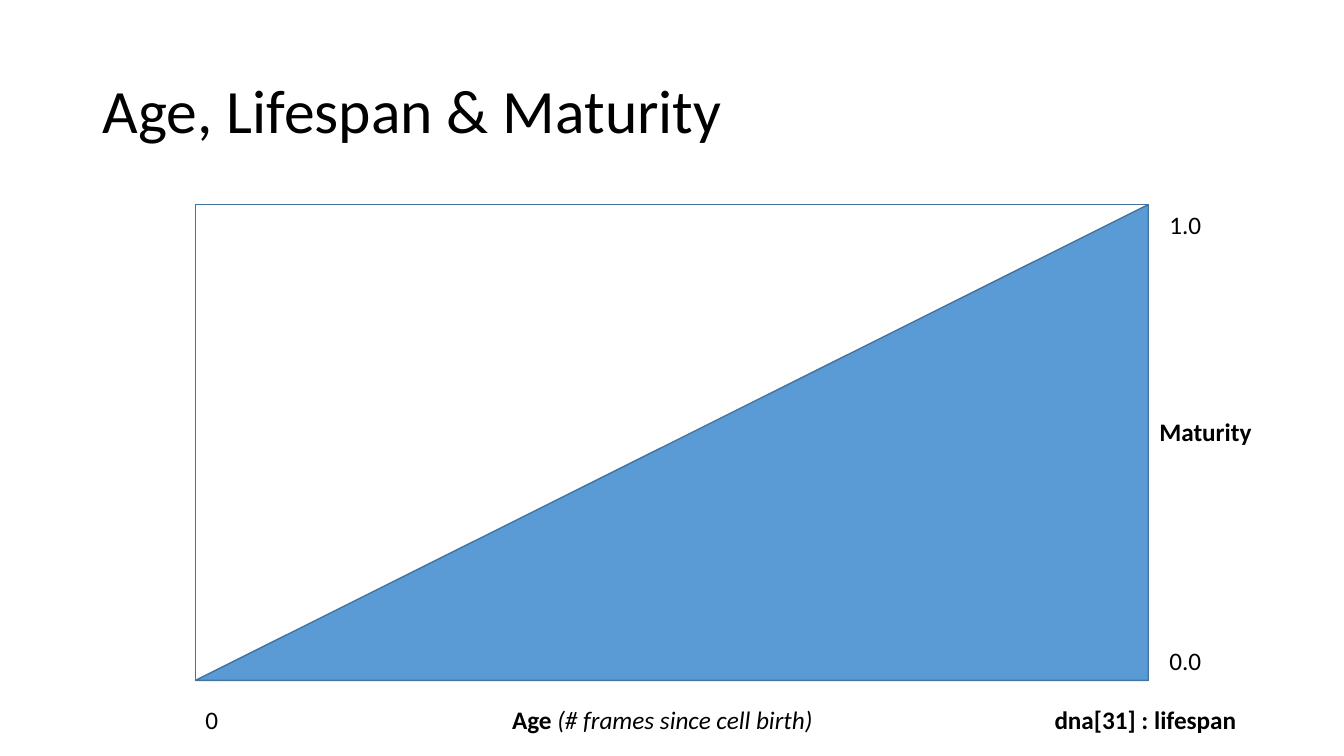
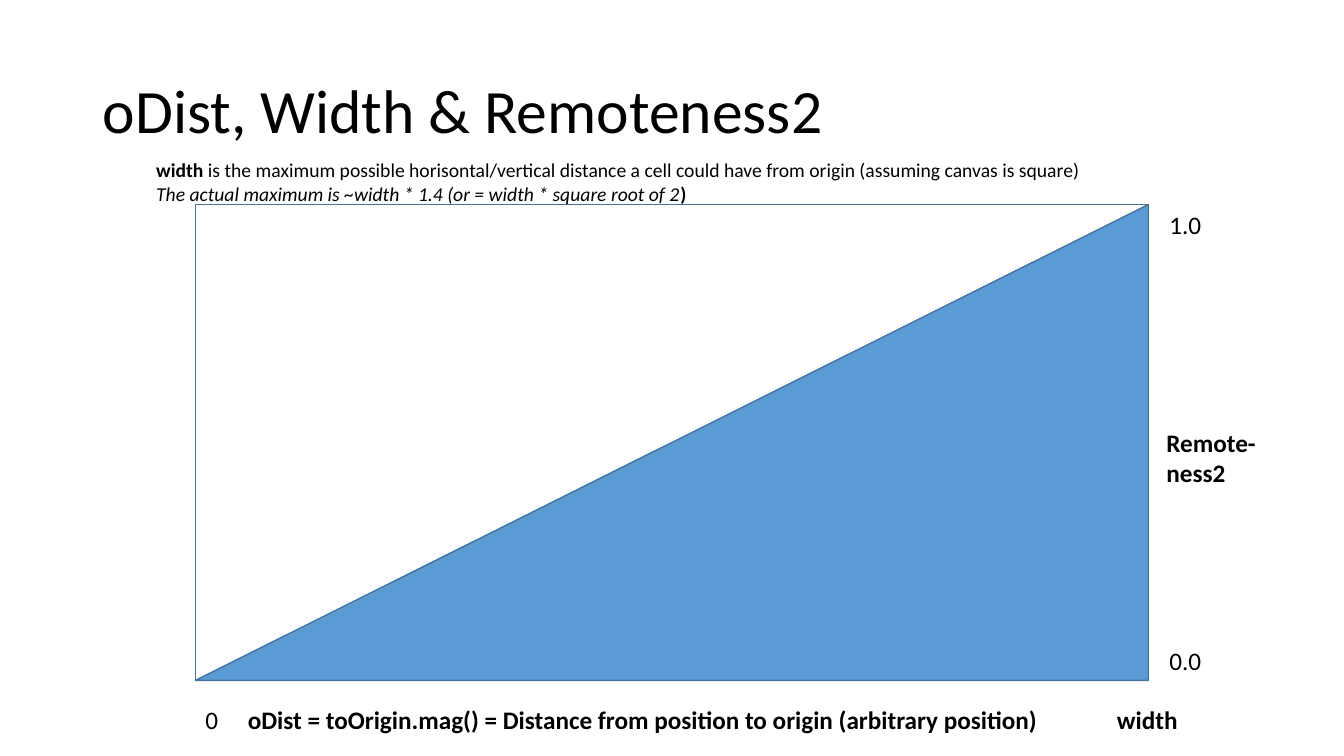
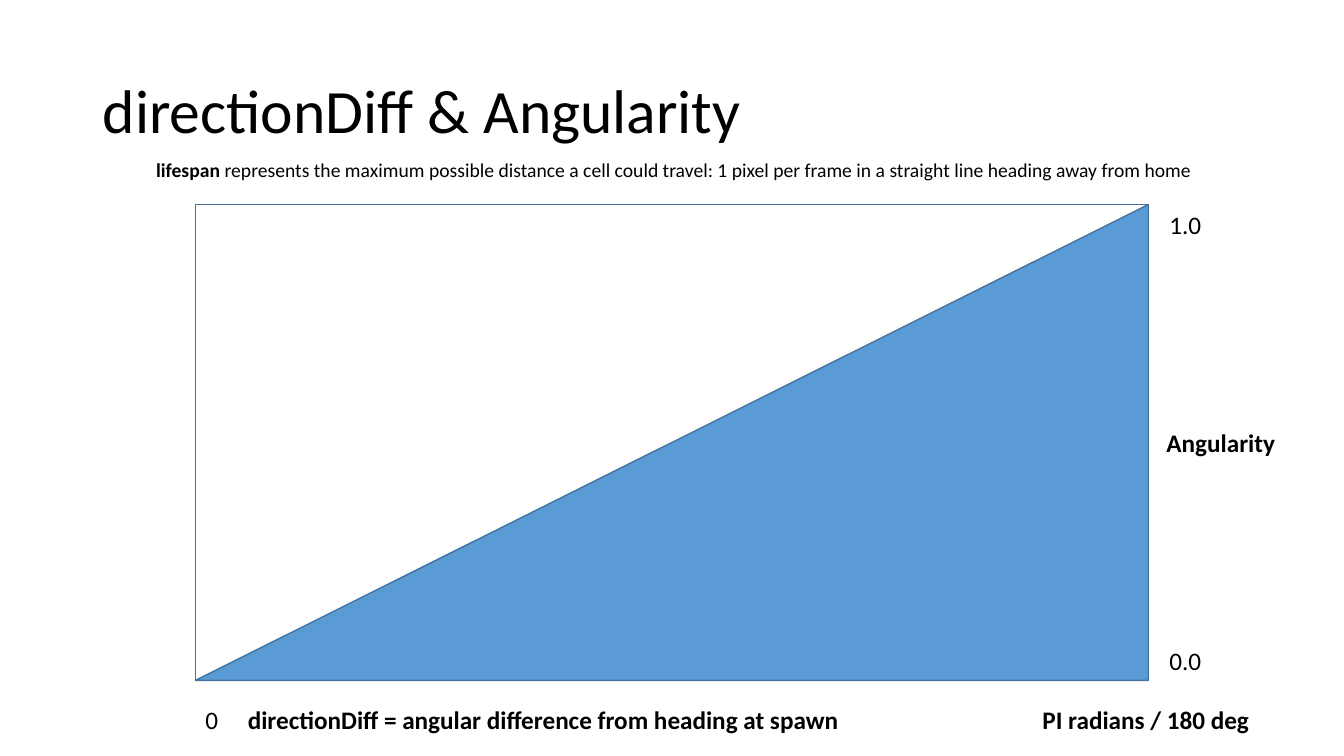
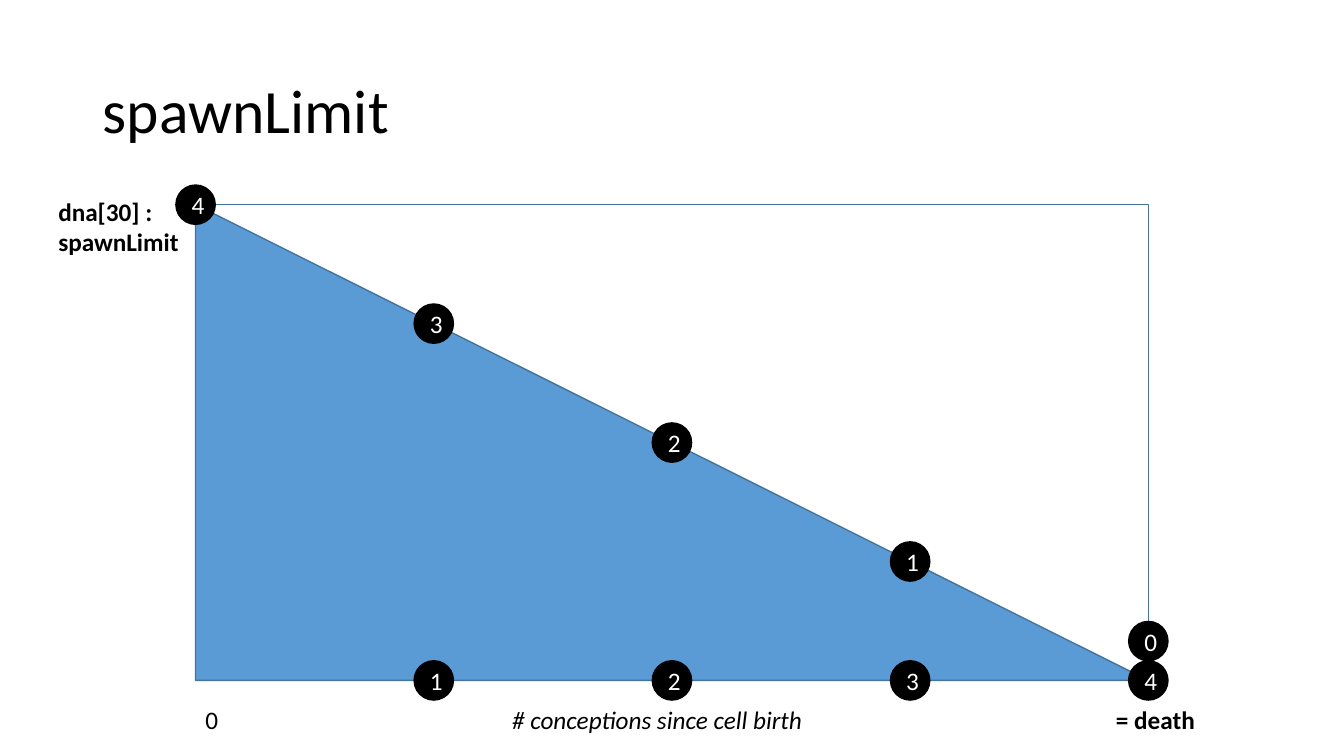
"""Build four slides of cell graphs, each a ramp inside a frame."""
from pptx import Presentation
from pptx.dml.color import RGBColor
from pptx.enum.shapes import MSO_SHAPE
from pptx.enum.text import MSO_ANCHOR, MSO_AUTO_SIZE, PP_ALIGN
from pptx.util import Inches, Pt

BLUE = RGBColor(0x5B, 0x9B, 0xD5)
EDGE = RGBColor(0x43, 0x73, 0x9E)
BLACK = RGBColor(0, 0, 0)
WHITE = RGBColor(255, 255, 255)

PLAIN = {"name": "Calibri", "color": BLACK, "bold": False, "italic": False}
LOOKS = {
    "plain": PLAIN,
    "bold": PLAIN | {"bold": True},
    "slant": PLAIN | {"italic": True},
    "dot": PLAIN | {"color": WHITE},
}

deck = Presentation()
deck.slide_width, deck.slide_height = Inches(13.33), Inches(7.5)
WIDE, HIGH = deck.slide_width, deck.slide_height


def share(left, top, width, height):
    """Turn percentages of the slide into lengths."""
    return [int(part * full / 100) for part, full in
            zip((left, top, width, height), (WIDE, HIGH, WIDE, HIGH))]


def write(frame, lines, size):
    """Fill a text frame with lines made of (text, look) runs."""
    for row, line in enumerate(lines):
        para = frame.add_paragraph() if row else frame.paragraphs[0]
        for text, look in line:
            run = para.add_run()
            run.text = text
            run.font.size = Pt(size)
            for key, value in LOOKS[look].items():
                if key == "color":
                    run.font.color.rgb = value
                else:
                    setattr(run.font, key, value)


LEFT, TOP, SPAN, RISE = 14.55, 27.07, 70.89, 62.93
BASE, SIDE = 92.53, 86.27
ROW, PAIR, CELL = 5.33, 9.47, 8.33

ZERO = ((LEFT, BASE, CELL, ROW), 18, [[("0", "plain")]])
SCALE = [
    ZERO,
    ((SIDE, 84.67, CELL, ROW), 18, [[("0.0", "plain")]]),
    ((SIDE, TOP, CELL, ROW), 18, [[("1.0", "plain")]]),
]

PAGES = [
    ("Age, Lifespan & Maturity", True, SCALE + [
        ((77.72, BASE, 15.68, ROW), 18, [[("dna[31] : lifespan", "bold")]]),
        ((37.36, BASE, 25.28, ROW), 18,
         [[("Age ", "bold"), ("(# frames since cell birth)", "slant")]]),
        ((85.52, 54.4, 8.7, ROW), 18, [[("Maturity", "bold")]]),
    ]),
    ("oDist, Width & Remoteness2", True, SCALE + [
        ((82.37, BASE, 6.38, ROW), 18, [[("width", "bold")]]),
        ((17.7, BASE, 61.07, ROW), 18,
         [[("oDist = toOrigin.mag() = Distance from position to origin "
            "(arbitrary position)", "bold")]]),
        ((86.05, 55.87, 8.7, PAIR), 18, [[("Remote-ness2", "bold")]]),
        ((10.88, 20.27, 79.07, 7.6), 14,
         [[("width ", "bold"),
           ("is the maximum possible horisontal/vertical distance a cell "
            "could have from origin (assuming canvas is square)", "plain")],
          [("The actual maximum is ~width * 1.4 "
            "(or = width * square root of 2", "slant"), (")", "bold")]]),
    ]),
    ("directionDiff & Angularity", True, SCALE + [
        ((76.82, BASE, 17.25, ROW), 18, [[("PI radians / 180 deg", "bold")]]),
        ((17.7, BASE, 61.07, ROW), 18,
         [[("directionDiff = angular difference from heading at spawn",
            "bold")]]),
        ((86.05, 55.87, 10.28, ROW), 18, [[("Angularity", "bold")]]),
        ((10.88, 20.27, 79.07, 4.53), 14,
         [[("lifespan ", "bold"),
           ("represents the maximum possible distance a cell could travel: "
            "1 pixel per frame in a straight line heading away from home",
            "plain")]]),
    ]),
    ("spawnLimit", False, [
        ZERO,
        ((82.3, BASE, CELL, ROW), 18, [[("= death", "bold")]]),
        ((37.36, BASE, 25.28, ROW), 18,
         [[("# conceptions since cell birth", "slant")]]),
        ((3.6, 25.33, 11.63, PAIR), 18, [[("dna[30] : spawnLimit", "bold")]]),
    ]),
]

plan = deck.slide_layouts[5]
head = plan.placeholders[0]
head.left, head.top, head.width, head.height = share(6.9, 5.33, 86.27, 19.33)

for name, climbs, labels in PAGES:
    page = deck.slides.add_slide(plan)
    title = page.shapes.title.text_frame
    title.vertical_anchor = MSO_ANCHOR.MIDDLE
    write(title, [[(name, "plain")]], 44)
    for key, value in {"alignment": PP_ALIGN.LEFT, "line_spacing": 0.9}.items():
        setattr(title.paragraphs[0], key, value)

    for kind in (MSO_SHAPE.RECTANGLE, MSO_SHAPE.RIGHT_TRIANGLE):
        form = page.shapes.add_shape(kind, *share(LEFT, TOP, SPAN, RISE))
        form.shadow.inherit = False
        form.line.color.rgb = EDGE
        form.line.width = Pt(1)
        if kind == MSO_SHAPE.RECTANGLE:
            form.fill.background()
        else:
            form.fill.solid()
            form.fill.fore_color.rgb = BLUE
            if climbs:
                form.element.spPr.xfrm.set("flipH", "1")

    for spot, size, lines in labels:
        frame = page.shapes.add_textbox(*share(*spot)).text_frame
        frame.word_wrap = True
        frame.auto_size = MSO_AUTO_SIZE.SHAPE_TO_FIT_TEXT
        write(frame, lines, size)

STEPS = 4
left, top, span, rise = share(LEFT, TOP, SPAN, RISE)
size = Inches(0.39)
ramp = [(step, step, STEPS - step) for step in range(STEPS)]
base = [(step, STEPS, step) for step in range(1, STEPS + 1)]
dots = [(left + span * col // STEPS, top + rise * row // STEPS, count)
        for col, row, count in ramp + base]
dots.append((left + span, top + rise - size, 0))

for mid, level, count in dots:
    dot = page.shapes.add_shape(
        MSO_SHAPE.OVAL, mid - size // 2, level - size // 2, size, size)
    dot.shadow.inherit = False
    dot.fill.solid()
    dot.fill.fore_color.rgb = BLACK
    dot.line.color.rgb = BLACK
    dot.line.width = Pt(1)
    write(dot.text_frame, [[(str(count), "dot")]], 18)

deck.save("out.pptx")
